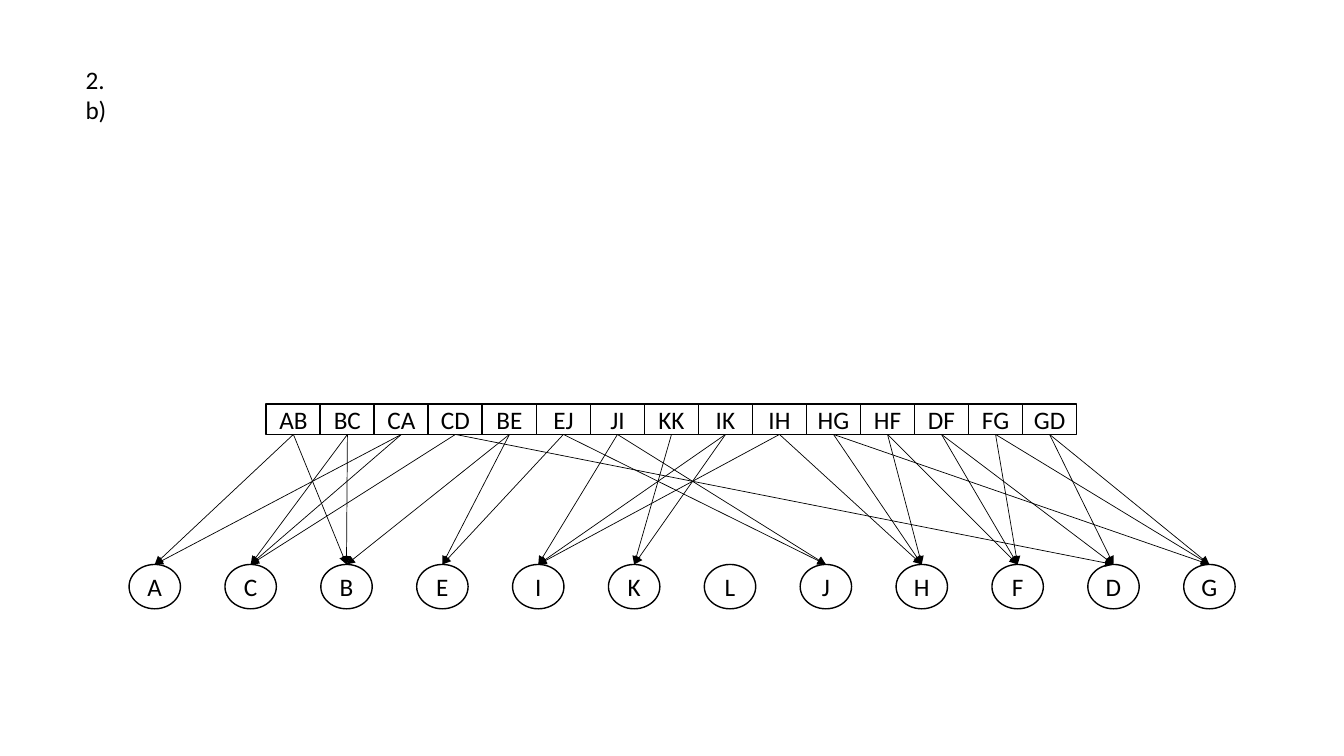
from lxml import etree
from pptx import Presentation
from pptx.dml.color import RGBColor
from pptx.enum import shapes, text
from pptx.oxml.ns import qn
from pptx.util import Inches, Pt

# Content: each edge points to the vertices named by its letters
HEADING = "2. b)"
EDGES = ["AB", "BC", "CA", "CD", "BE", "EJ", "JI", "KK",
         "IK", "IH", "HG", "HF", "DF", "FG", "GD"]
VERTICES = "ACBEIKLJHFDG"

BLACK = RGBColor(0x00, 0x00, 0x00)
WHITE = RGBColor(0xFF, 0xFF, 0xFF)

# Layout in inches: left of first, left of last, top, width, height
EDGE_ROW = (2.64, 10.14, 4.01, 0.54, 0.30)
VERTEX_ROW = (1.28, 11.74, 5.60, 0.51, 0.44)

prs = Presentation()
prs.slide_width, prs.slide_height = Inches(13.33), Inches(7.5)
s = prs.slides.add_slide(prs.slide_layouts[6])


def write(sp, content, size=18, align=None, anchor=None, inset=0.0, wrap=False):
    tf = sp.text_frame
    tf.word_wrap = wrap
    tf.margin_left = tf.margin_right = Inches(inset)
    tf.margin_top = tf.margin_bottom = Inches(inset / 2)
    tf.vertical_anchor = anchor
    p = tf.paragraphs[0]
    p.alignment = align
    r = p.add_run()
    r.text = content
    r.font.name, r.font.size = "Calibri", Pt(size)
    r.font.color.rgb = BLACK


def add_row(labels, kind, row):
    """Draw evenly spaced labelled shapes and return them by label."""
    first, last, top, width, height = row
    step = (last - first) / (len(labels) - 1)
    drawn = {}
    for i, label in enumerate(labels):
        sp = s.shapes.add_shape(kind, Inches(first + i * step), Inches(top),
                                Inches(width), Inches(height))
        sp.shadow.inherit = False
        sp.fill.solid()
        sp.fill.fore_color.rgb = WHITE
        sp.line.color.rgb = BLACK
        sp.line.width = Pt(1)
        write(sp, label, align=text.PP_ALIGN.CENTER,
              anchor=text.MSO_ANCHOR.MIDDLE)
        drawn[label] = sp
    return drawn


def add_arrow(start, end):
    """Point from the bottom of one shape to the top of another."""
    c = s.shapes.add_connector(shapes.MSO_CONNECTOR.STRAIGHT, 0, 0, 0, 0)
    c.begin_connect(start, 2)
    c.end_connect(end, 0)
    # An ellipse has eight connection sites, a rectangle four; both have 0 on top
    c.line.color.rgb = BLACK
    c.line.width = Pt(0.5)
    etree.SubElement(c.line._get_or_add_ln(), qn("a:tailEnd"), type="triangle")
    etree.SubElement(c._element.spPr, qn("a:effectLst"))


# Heading
heading = s.shapes.add_textbox(Inches(0.75), Inches(0.59),
                               Inches(0.54), Inches(0.71))
write(heading, HEADING, inset=0.1, wrap=True)

# Vertices and edge array
vertices = add_row(VERTICES, shapes.MSO_SHAPE.OVAL, VERTEX_ROW)
edges = add_row(EDGES, shapes.MSO_SHAPE.RECTANGLE, EDGE_ROW)

# Arrows, one per distinct end of each edge
for name, box in edges.items():
    for vertex in dict.fromkeys(name):
        add_arrow(box, vertices[vertex])

prs.save("out.pptx")
